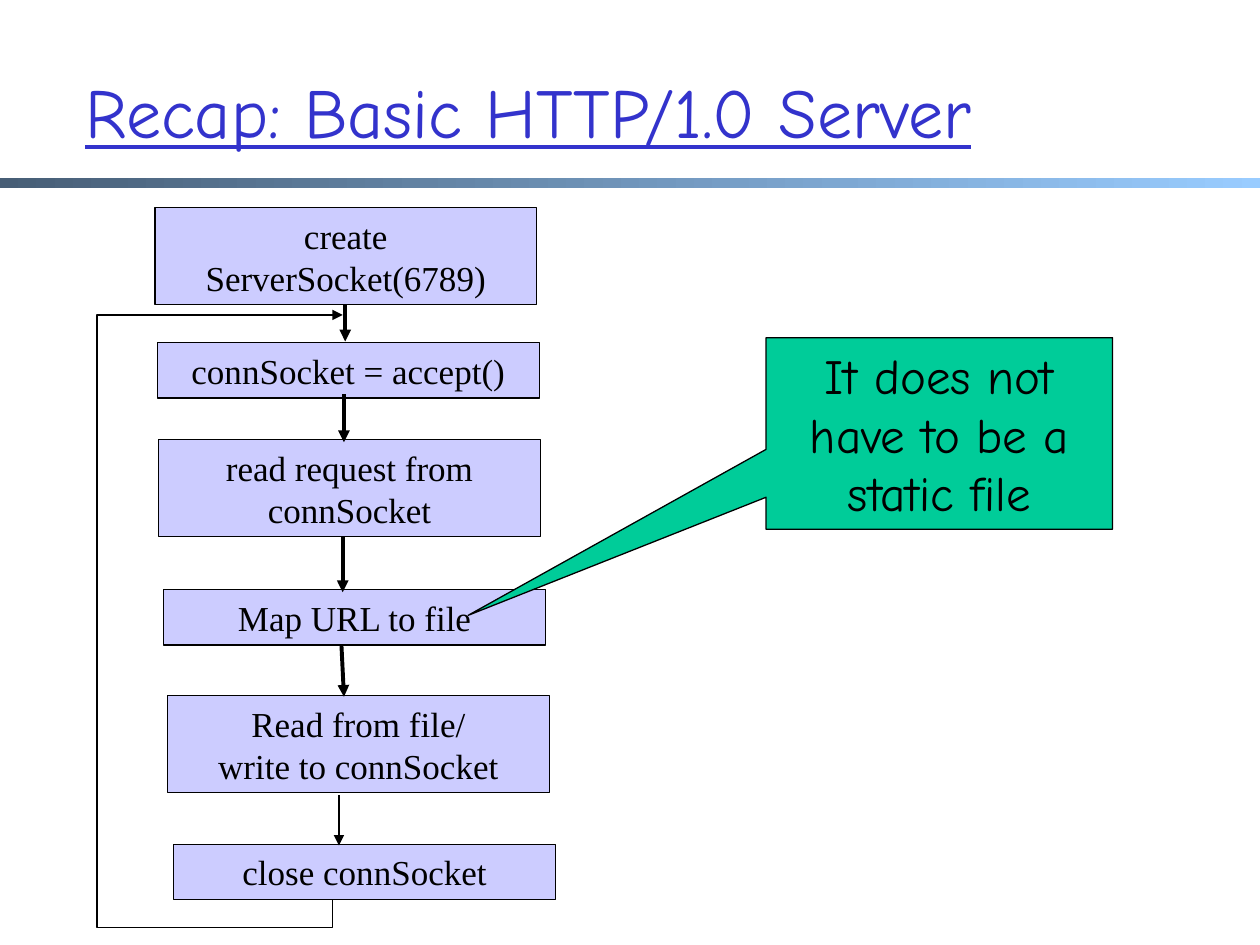
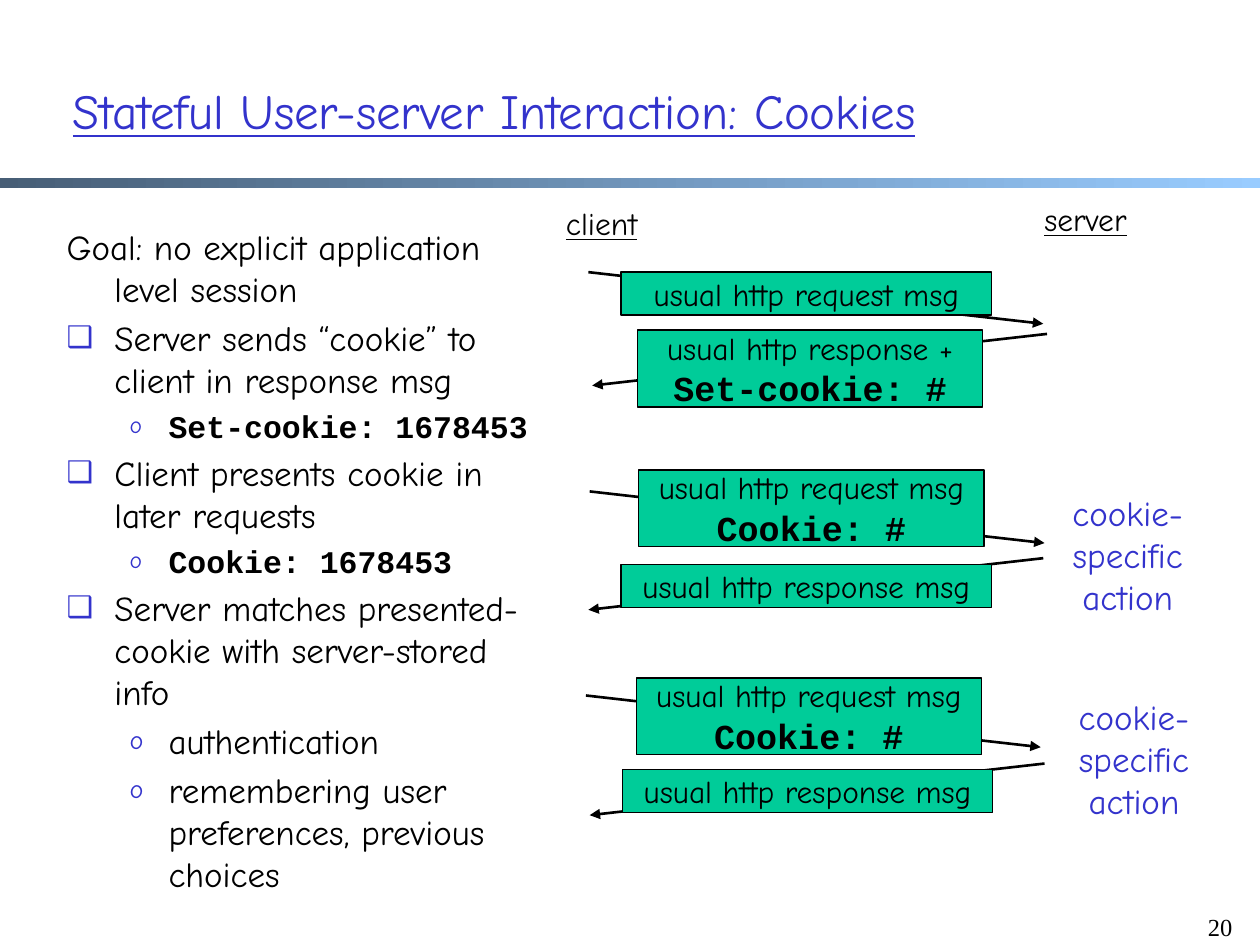
from dataclasses import dataclass

from lxml import etree
from pptx import Presentation
from pptx import util as u
from pptx.dml.color import RGBColor
from pptx.enum import shapes, text
from pptx.oxml.ns import qn


@dataclass(frozen=True)
class Theme:
    title: str = "3333CC"
    ink: str = "000000"
    step: str = "CCCCFF"
    message: str = "00CC99"
    band_start: str = "475E76"
    band_end: str = "99CCFF"
    hand: str = "Comic Neue"
    code: str = "Courier New"
    serif: str = "Times New Roman"
    large_title: int = 40
    medium: int = 28
    body: int = 20
    small: int = 18
    page: int = 14


THEME = Theme()


def color(value):
    return RGBColor.from_string(value)


def box(values):
    return [u.Inches(value) for value in values]


def style(paragraph, size, name=THEME.hand, ink=THEME.ink, bold=False,
          underline=False, align=None):
    font = paragraph.font
    font.size = u.Pt(size)
    font.name = name
    font.color.rgb = color(ink)
    font.bold = bold
    font.underline = underline
    paragraph.alignment = align


def write(frame, lines, size, **options):
    frame.text = "\n".join(lines)
    for paragraph in frame.paragraphs:
        style(paragraph, size, **options)


def add_text(slide, place, lines, size, wrap=True, **options):
    shape = slide.shapes.add_textbox(*box(place))
    frame = shape.text_frame
    frame.word_wrap = wrap
    if not wrap:
        frame.auto_size = text.MSO_AUTO_SIZE.SHAPE_TO_FIT_TEXT
    write(frame, lines, size, **options)
    return shape


def add_panel(slide, place, fill, kind=shapes.MSO_SHAPE.RECTANGLE):
    shape = slide.shapes.add_shape(kind, *box(place))
    shape.shadow.inherit = False
    shape.fill.solid()
    shape.fill.fore_color.rgb = color(fill)
    shape.line.color.rgb = color(THEME.ink)
    shape.line.width = u.Pt(0.75)
    frame = shape.text_frame
    frame.word_wrap = True
    frame.vertical_anchor = text.MSO_ANCHOR.MIDDLE
    return shape


def finish_arrow(shape, width):
    shape.line.color.rgb = color(THEME.ink)
    shape.line.width = u.Pt(width)
    etree.SubElement(shape.line._get_or_add_ln(), qn("a:tailEnd"), type="triangle")


def add_arrow(slide, start, end, width):
    arrow = slide.shapes.add_connector(
        shapes.MSO_CONNECTOR.STRAIGHT, *box(start + end))
    finish_arrow(arrow, width)
    etree.SubElement(arrow._element.spPr, qn("a:effectLst"))


def add_header(slide, title, left, width, size):
    band = slide.shapes.add_shape(
        shapes.MSO_SHAPE.RECTANGLE, *box((0, 1.41, 10, 0.08)))
    band.shadow.inherit = False
    band.line.fill.background()
    band.fill.gradient()
    band.fill.gradient_angle = 0
    stops = zip(band.fill.gradient_stops, (THEME.band_start, THEME.band_end))
    for position, (stop, value) in enumerate(stops):
        stop.position = position
        stop.color.rgb = color(value)
    heading = add_text(slide, (left, 0.25, width, 1.25), [title], size,
                       ink=THEME.title, underline=True)
    heading.text_frame.vertical_anchor = text.MSO_ANCHOR.MIDDLE


def add_flow(slide, left, top):
    steps = [
        (0, 0, 0.77, "create ServerSocket(6789)"),
        (0.02, 1.07, 0.44, "connSocket = accept()"),
        (0.03, 1.84, 0.77, "read request from connSocket"),
        (0.07, 3.03, 0.44, "Map URL to file"),
        (0.1, 3.87, 0.77, "Read from file/\vwrite to connSocket"),
        (0.15, 5.05, 0.44, "close connSocket"),
    ]
    arrows = [
        (1.51, 0.77, 1.51, 1.06, 2.25),
        (1.5, 1.48, 1.5, 1.86, 2.25),
        (1.49, 2.61, 1.49, 3.05, 2.25),
        (1.48, 3.47, 1.5, 3.88, 2.25),
        (1.46, 4.66, 1.46, 5.06, 1.5),
    ]
    for step_left, step_top, height, label in steps:
        step = add_panel(
            slide, (left + step_left, top + step_top, 3.03, height), THEME.step)
        write(step.text_frame, [label], THEME.body, name=THEME.serif,
              align=text.PP_ALIGN.CENTER)
    for x1, y1, x2, y2, width in arrows:
        add_arrow(slide, (left + x1, top + y1), (left + x2, top + y2), width)
    add_loop(slide, left, top)


def add_loop(slide, left, top):
    corners = [(1.41, 5.49), (1.41, 5.71), (-0.46, 5.71), (-0.46, 0.85), (1.49, 0.85)]
    points = [tuple(box((left + x, top + y))) for x, y in corners]
    builder = slide.shapes.build_freeform(*points[0])
    builder.add_line_segments(points[1:], close=False)
    loop = builder.convert_to_shape()
    loop.shadow.inherit = False
    loop.fill.background()
    finish_arrow(loop, 0.75)


def add_callout(slide, place):
    callout = add_panel(slide, place, THEME.message,
                        shapes.MSO_SHAPE.RECTANGULAR_CALLOUT)
    callout.adjustments[0] = -1.36
    callout.adjustments[1] = 0.95
    write(callout.text_frame, ["It does not have to be a static file"],
          THEME.medium, align=text.PP_ALIGN.CENTER)


def add_bullet(paragraph, character, percent, margin, indent):
    properties = paragraph._p.get_or_add_pPr()
    properties.set("marL", str(u.Inches(margin)))
    properties.set("indent", str(u.Inches(indent)))
    if character:
        bullet_color = etree.SubElement(properties, qn("a:buClr"))
        etree.SubElement(bullet_color, qn("a:srgbClr"), val=THEME.title)
        etree.SubElement(properties, qn("a:buSzPct"), val=str(percent * 1000))
        etree.SubElement(properties, qn("a:buFont"), typeface=THEME.hand)
        etree.SubElement(properties, qn("a:buChar"), char=character)


def add_goals(slide, place):
    levels = {
        "goal": ("", 0, 0.38, -0.38),
        "point": ("❑", 85, 0.38, -0.38),
        "detail": ("o", 75, 0.81, -0.31),
        "code": ("o", 75, 0.81, -0.31),
    }
    goals = [
        ("goal", "Goal: no explicit application level session"),
        ("point", "Server sends “cookie” to client in response msg"),
        ("code", "Set-cookie: 1678453"),
        ("point", "Client presents cookie in later requests"),
        ("code", "Cookie: 1678453"),
        ("point", "Server matches presented-cookie with server-stored info"),
        ("detail", "authentication"),
        ("detail", "remembering user preferences, previous choices"),
    ]
    frame = slide.shapes.add_textbox(*box(place)).text_frame
    frame.word_wrap = True
    for index, (level, line) in enumerate(goals):
        paragraph = frame.add_paragraph() if index else frame.paragraphs[0]
        paragraph.text = line
        is_code = level == "code"
        size = THEME.small if is_code else THEME.body
        paragraph.space_before = u.Pt(size * 0.2)
        add_bullet(paragraph, *levels[level])
        style(paragraph, size, THEME.code if is_code else THEME.hand, bold=is_code)


def add_message(slide, left, top, label, header=None):
    width, height = (2.74, 0.61) if header else (2.94, 0.34)
    panel = add_panel(slide, (left, top, width, height), THEME.message)
    frame = panel.text_frame
    frame.margin_left = frame.margin_right = 0
    frame.margin_top = frame.margin_bottom = 0
    write(frame, [label], THEME.small, align=text.PP_ALIGN.CENTER)
    if header:
        paragraph = frame.add_paragraph()
        paragraph.text = header
        style(paragraph, THEME.body, THEME.code, bold=True,
              align=text.PP_ALIGN.CENTER)


def add_exchange(slide, left, top, request, response, reply_start):
    run, drop = 3.61, 0.41
    reply_left, reply_top = left + reply_start[0], top + reply_start[1]
    add_arrow(slide, (left, top), (left + run, top + drop), 1.5)
    add_arrow(slide, (reply_left + run, reply_top), (reply_left, reply_top + drop), 1.5)
    for name, (x, y, *header) in (("request msg", request), ("response", response)):
        suffix = "" if name == "request msg" else " +" if header else " msg"
        add_message(slide, left + x, top + y, f"usual http {name}{suffix}", *header)


def add_dialogue(slide, left, top):
    exchanges = [
        (0, 0, (0.26, 0), (0.39, 0.46, "Set-cookie: #"), (0.03, 0.49)),
        (0.01, 1.74, (0.39, -0.17, "Cookie: #"), (0.25, 0.58), (-0.01, 0.53)),
        (-0.02, 3.36, (0.4, -0.14, "Cookie: #"), (0.29, 0.59), (0.03, 0.54)),
    ]
    for x, y, request, response, reply_start in exchanges:
        add_exchange(slide, left + x, top + y, request, response, reply_start)
    for x, y, width, label in ((-0.43, -0.59, 1.07, "client"),
                               (3.34, -0.62, 1.21, "server")):
        add_text(slide, (left + x, top + y, width, 0.5), [label], THEME.small,
                 wrap=False, underline=True, align=text.PP_ALIGN.CENTER)
    for x, y in ((3.67, 1.69), (3.72, 3.31)):
        add_text(slide, (left + x, top + y, 1.22, 1.1),
                 ["cookie-", "specific", "action"], THEME.body, wrap=False,
                 ink=THEME.title, align=text.PP_ALIGN.CENTER)


def build_server_slide(slide):
    add_header(slide, "Recap: Basic HTTP/1.0 Server", 0.58, 8.98, THEME.large_title)
    add_flow(slide, 1.23, 1.65)
    add_callout(slide, (6.08, 2.68, 2.75, 1.52))


def build_cookie_slide(slide):
    add_header(slide, "Stateful User-server Interaction: Cookies", 0.48, 8.5,
               THEME.medium)
    add_text(slide, (9.38, 7.19, 0.5, 0.5), ["20"], THEME.page,
             name=THEME.serif, align=text.PP_ALIGN.RIGHT)
    add_goals(slide, (0.43, 1.74, 3.94, 4.71))
    add_dialogue(slide, 4.67, 2.16)


def main():
    presentation = Presentation()
    presentation.slide_width = u.Inches(10)
    presentation.slide_height = u.Inches(7.5)
    for build in (build_server_slide, build_cookie_slide):
        build(presentation.slides.add_slide(presentation.slide_layouts[6]))
    presentation.save("out.pptx")


if __name__ == "__main__":
    main()
